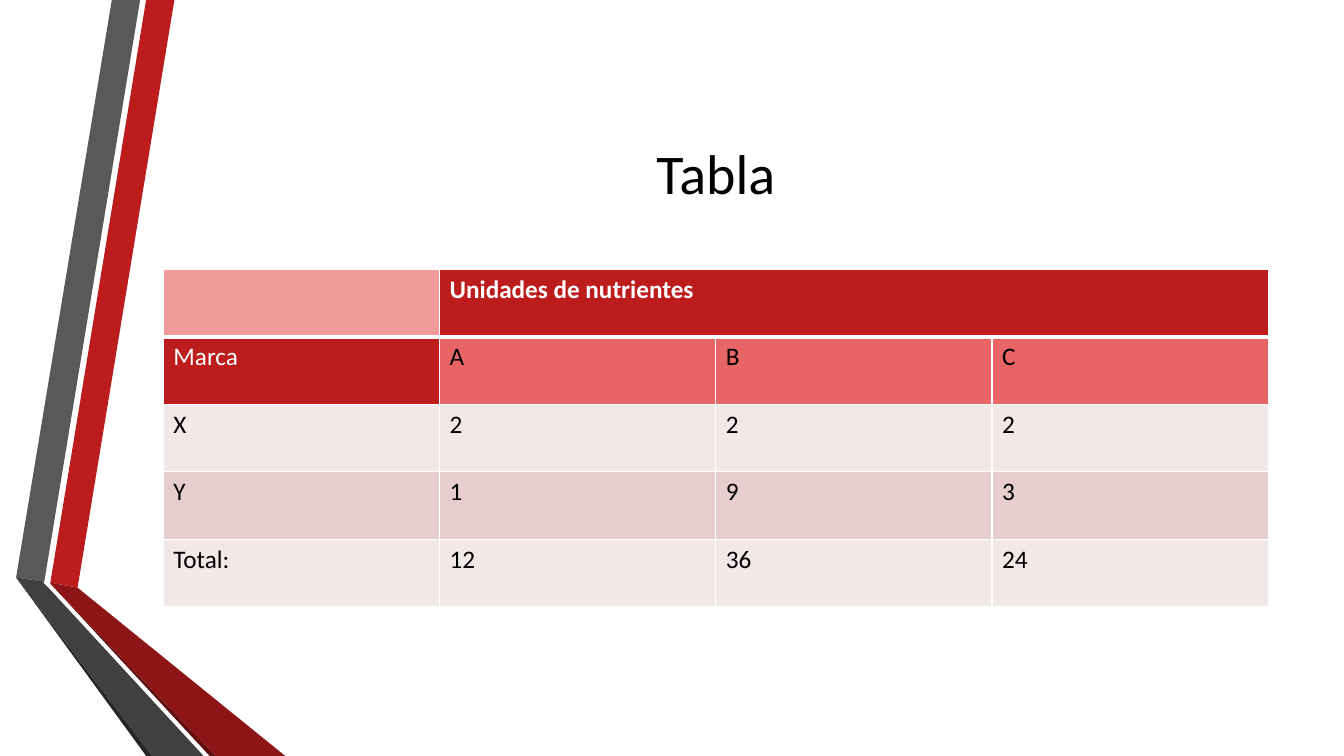
from lxml import etree
from pptx import Presentation
from pptx.dml.color import RGBColor
from pptx.enum.text import MSO_ANCHOR, PP_ALIGN
from pptx.oxml.ns import qn
from pptx.util import Inches, Pt

CENTER = PP_ALIGN.CENTER
MIDDLE = MSO_ANCHOR.MIDDLE
FONT = "Calibri"
COLORS = {
    "red": "BC1C1C", "dark_red": "8D1515", "deep_red": "5E0E0E",
    "gray": "595959", "dark_gray": "404040", "black_gray": "262626",
    "pink": "F09999", "coral": "E86565", "pale": "F3E8E8", "rose": "E7CDCD",
    "white": "FFFFFF", "black": "000000",
}
WIDTH, HEIGHT = 13.33, 7.5
LEFT, CONTENT_WIDTH = 1.62, 10.96
TITLE_TOP, TABLE_TOP = HEIGHT / 10, 2.67
ROW_HEIGHT = 0.67


def rgb(name):
    return RGBColor.from_string(COLORS[name])


def write(frame, text, **font_values):
    paragraph = frame.paragraphs[0]
    run = paragraph.add_run()
    run.text = text
    run.font.color.rgb = rgb(font_values.pop("color"))
    for attribute, value in {"name": FONT, **font_values}.items():
        setattr(run.font, attribute, value)
    return paragraph


prs = Presentation()
prs.slide_width, prs.slide_height = Inches(WIDTH), Inches(HEIGHT)
slide = prs.slides.add_slide(prs.slide_layouts[6])

ribbons = [
    ("red", [(0.5, 5.78), (0.77, 5.83), (1.73, 0), (1.45, 0)]),
    ("gray", [(1.39, 0), (1.11, 0), (0.16, 5.73), (0.44, 5.77)]),
    ("black_gray", [(0.16, 5.73), (1.45, HEIGHT), (1.51, HEIGHT)]),
    ("deep_red", [(0.5, 5.79), (2.08, HEIGHT), (2.14, HEIGHT)]),
    ("dark_red", [(0.5, 5.79), (2.14, HEIGHT), (2.83, HEIGHT), (0.77, 5.83), (0.5, 5.78)]),
    ("dark_gray", [(2.02, HEIGHT), (0.48, 5.83), (0.43, 5.78), (0.44, 5.77),
                   (0.16, 5.73), (1.51, HEIGHT)]),
]
for color, corners in ribbons:
    points = [(Inches(x), Inches(y)) for x, y in corners]
    outline = slide.shapes.build_freeform(*points[0])
    outline.add_line_segments(points[1:], close=True)
    ribbon = outline.convert_to_shape()
    ribbon.fill.solid()
    ribbon.fill.fore_color.rgb = rgb(color)
    ribbon.line.fill.background()
    ribbon.shadow.inherit = False

rows = [
    (["", "Unidades de nutrientes", "", ""], ["pink", "red", "red", "red"]),
    (["Marca", "A", "B", "C"], ["red", "coral", "coral", "coral"]),
    (["X", "2", "2", "2"], ["pale"] * 4),
    (["Y", "1", "9", "3"], ["rose"] * 4),
    (["Total:", "12", "36", "24"], ["pale"] * 4),
]
column_count = len(rows[0][0])
nutrients = slide.shapes.add_table(
    len(rows), column_count, Inches(LEFT), Inches(TABLE_TOP),
    Inches(CONTENT_WIDTH), Inches(ROW_HEIGHT * len(rows))).table
for column in nutrients.columns:
    column.width = Inches(CONTENT_WIDTH / column_count)

for r, (texts, fills) in enumerate(rows):
    nutrients.rows[r].height = Inches(ROW_HEIGHT)
    for c, (text, fill) in enumerate(zip(texts, fills)):
        cell = nutrients.cell(r, c)
        cell.fill.solid()
        cell.fill.fore_color.rgb = rgb(fill)
        if text:
            write(cell.text_frame, text, size=Pt(18), bold=r == 0,
                  color="white" if fill == "red" else "black")
        borders = {"a:lnL": 1, "a:lnR": 1, "a:lnT": 3 if r == 1 else 1, "a:lnB": 3 if r == 0 else 1}
        properties = cell._tc.get_or_add_tcPr()
        for position, (side, points) in enumerate(borders.items()):
            border = etree.Element(qn(side), w=str(Pt(points)))
            border_fill = etree.SubElement(border, qn("a:solidFill"))
            etree.SubElement(border_fill, qn("a:srgbClr"), val=COLORS["white"])
            properties.insert(position, border)
nutrients.cell(0, 1).merge(nutrients.cell(0, column_count - 1))

title = slide.shapes.add_textbox(Inches(LEFT), Inches(TITLE_TOP), Inches(CONTENT_WIDTH),
                                 Inches(TABLE_TOP - TITLE_TOP)).text_frame
title.word_wrap = True
title.vertical_anchor = MIDDLE
write(title, "Tabla", size=Pt(40), color="black").alignment = CENTER

prs.save("out.pptx")
